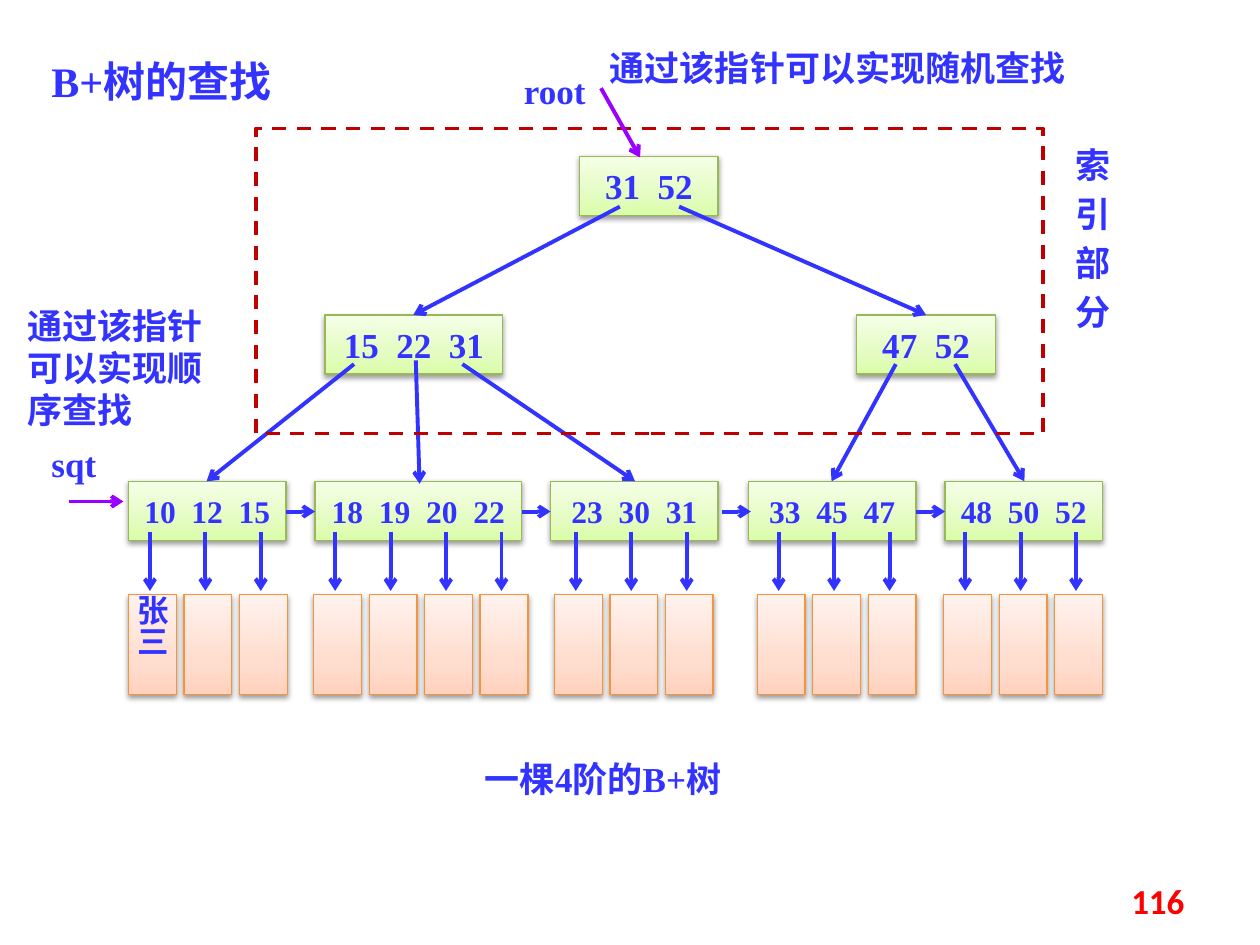
from collections import namedtuple
from copy import deepcopy

from lxml import etree
from pptx import Presentation
from pptx import util as u
from pptx.dml.color import RGBColor
from pptx.enum import dml, shapes, text
from pptx.oxml import ns

BLUE = RGBColor(0x33, 0x33, 0xFF)
PURPLE = RGBColor(0x99, 0x00, 0xFF)
RED = RGBColor(0xFF, 0x00, 0x00)
DARK_RED = RGBColor(0xC0, 0x00, 0x00)
GREEN_EDGE = RGBColor(0x98, 0xB9, 0x55)
ORANGE_EDGE = RGBColor(0xF6, 0x92, 0x40)
GREENS = RGBColor(0xDA, 0xFD, 0xA7), RGBColor(0xE4, 0xFC, 0xC2), RGBColor(0xF5, 0xFF, 0xE7)
ORANGES = RGBColor(0xFF, 0xD2, 0xBD), RGBColor(0xFF, 0xDE, 0xD0), RGBColor(0xFF, 0xF2, 0xED)

SERIF = "Times New Roman"
HAN = "Noto Sans CJK SC"
NODE_HEIGHT = 0.47
RECORD_STEP = 0.44

Box = namedtuple("Box", "left top width height")


def inside(box, left, top, width, height):
    return Box(box.left + left, box.top + top, width, height)


def lengths(box):
    return [u.Inches(value) for value in box]


def set_values(target, values):
    for name, value in values.items():
        setattr(target, name, value)


def add_child(parent, tag, **attributes):
    return etree.SubElement(parent, ns.qn(tag), attributes)


def add_span(para, words, size=20, name=SERIF, color=BLUE):
    span = para.add_run()
    span.text = words
    set_values(span.font, {"size": u.Pt(size), "name": name, "bold": True})
    span.font.color.rgb = color
    add_child(span.font._element, "a:ea", typeface=HAN)


def add_label(page, box, lines, inset=True, para_format=None, **font):
    frame = page.shapes.add_textbox(*lengths(box)).text_frame
    set_values(frame, {"word_wrap": True, "auto_size": text.MSO_AUTO_SIZE.SHAPE_TO_FIT_TEXT})
    if not inset:
        set_values(frame, dict.fromkeys(
            ("margin_left", "margin_top", "margin_right", "margin_bottom"), 0))
    for index, words in enumerate(lines):
        para = frame.add_paragraph() if index else frame.paragraphs[0]
        set_values(para, para_format or {})
        if index == 0:
            para.space_before = u.Pt(0)
        add_span(para, words, **font)
    return frame


def add_arrow(page, box, start, end, color=BLUE):
    ends = [u.Inches(box[axis] + point[axis]) for point in (start, end) for axis in (0, 1)]
    arrow = page.shapes.add_connector(shapes.MSO_CONNECTOR.STRAIGHT, *ends)
    arrow.line.width = u.Pt(2.25)
    arrow.line.color.rgb = color
    add_child(arrow.line._get_or_add_ln(), "a:tailEnd", type="arrow")
    add_child(arrow._element.spPr, "a:effectLst")


def add_block(page, box, colors, edge):
    block = page.shapes.add_shape(shapes.MSO_SHAPE.RECTANGLE, *lengths(box))
    block.fill.gradient()
    block.fill.gradient_angle = 90
    first = block.fill.gradient_stops[0]._gs
    first.addnext(deepcopy(first))
    for stop, position, color in zip(block.fill.gradient_stops, (0, 0.35, 1), colors):
        stop.position = position
        stop.color.rgb = color
    block.line.color.rgb = edge
    block.line.width = u.Pt(0.75)
    block.shadow.inherit = False
    effects = block._element.spPr.find(ns.qn("a:effectLst"))
    shadow = add_child(effects, "a:outerShdw", blurRad="40000", dist="20000",
                       dir="5400000", rotWithShape="0")
    add_child(add_child(shadow, "a:srgbClr", val="000000"), "a:alpha", val="38000")
    return block


def add_node(page, box, keys, size=20):
    node = add_block(page, box, GREENS, GREEN_EDGE)
    node.text_frame.vertical_anchor = text.MSO_ANCHOR.MIDDLE
    para = node.text_frame.paragraphs[0]
    para.alignment = text.PP_ALIGN.CENTER
    add_span(para, keys, size)


def draw_leaf(page, box, keys, first_record):
    add_node(page, box, keys, 18)
    records = []
    for index in range(len(keys.split())):
        left = first_record + index * RECORD_STEP
        add_arrow(page, box, (left + 0.17, 0.4), (left + 0.17, 0.87))
        record_box = inside(box, left, 0.9, 0.38, 0.79)
        records.append(add_block(page, record_box, ORANGES, ORANGE_EDGE))
    return records


def draw_leaves(page, box):
    leaves = [(0, 1.25, "10  12  15", 0), (1.48, 1.64, "18  19  20  22", -0.01),
              (3.35, 1.33, "23  30  31", 0.03), (4.92, 1.33, "33  45  47", 0.07),
              (6.48, 1.25, "48  50  52", -0.01)]
    records = []
    for left, width, keys, first_record in leaves:
        records += draw_leaf(page, inside(box, left, 0, width, NODE_HEIGHT), keys, first_record)
    for left in (1.25, 3.12, 4.71, 6.25):
        add_arrow(page, box, (left, 0.24), (left + 0.23, 0.24))

    frame = records[0].text_frame
    set_values(frame, {"margin_left": u.Inches(0.04), "margin_right": u.Inches(0.04),
                       "margin_top": 0, "margin_bottom": 0,
                       "vertical_anchor": text.MSO_ANCHOR.TOP})
    frame._txBody.bodyPr.set("vert", "eaVert")
    frame.paragraphs[0].alignment = text.PP_ALIGN.LEFT
    add_span(frame.paragraphs[0], "张三", 18, HAN)


def draw_index(page, box):
    for left, top, width, keys in [(2.57, 0.22, 1.1, "31  52"),
                                   (0.55, 1.48, 1.41, "15  22  31"),
                                   (4.77, 1.48, 1.1, "47  52")]:
        add_node(page, inside(box, left, top, width, NODE_HEIGHT), keys)
    for start, end in [((2.89, 0.62), (1.25, 1.48)), ((3.36, 0.62), (5.32, 1.48)),
                       ((0.78, 1.87), (-0.39, 2.8)), ((1.27, 1.84), (1.3, 2.82)),
                       ((1.64, 1.87), (3.01, 2.8)), ((5.08, 1.87), (4.57, 2.8)),
                       ((5.55, 1.87), (6.1, 2.8))]:
        add_arrow(page, box, start, end)

    border = page.shapes.add_shape(shapes.MSO_SHAPE.RECTANGLE, *lengths(box))
    border.shadow.inherit = False
    border.fill.background()
    border.line.color.rgb = DARK_RED
    set_values(border.line, {"width": u.Pt(2), "dash_style": dml.MSO_LINE.DASH})
    add_label(page, inside(box, 6.41, 0.15, 0.4, 1.62), "索引部分", name=HAN,
              para_format={"line_spacing": u.Pt(18), "space_before": u.Pt(10)})


def draw_random_search(page, box):
    add_arrow(page, box, (0.71, 0.33), (1.02, 0.88), PURPLE)
    add_label(page, inside(box, 0, 0.13, 0.86, 0.44), ["root"])
    add_label(page, inside(box, 0.78, 0, 3.91, 0.34), ["通过该指针可以实现随机查找"],
              inset=False, name=HAN)


def draw_sequential_search(page, box):
    add_arrow(page, box, (0.33, 1.56), (0.76, 1.56), PURPLE)
    add_label(page, inside(box, 0.09, 1.04, 0.78, 0.44), ["sqt"])
    add_label(page, inside(box, 0, 0, 1.66, 1.01), ["通过该指针可以实现顺序查找"],
              inset=False, name=HAN)


def draw_captions(page, box):
    add_label(page, inside(box, 0.31, 0.39, 1.97, 0.5), ["B+树的查找"], size=24)
    add_label(page, inside(box, 3.75, 5.86, 2.42, 0.54), ["一棵4阶的B+树"],
              para_format={"line_spacing": 1.3, "alignment": text.PP_ALIGN.JUSTIFY})
    number = add_label(page, inside(box, 7.17, 6.95, 2.33, 0.4), ["116"], name="Calibri",
                       color=RED, para_format={"alignment": text.PP_ALIGN.RIGHT})
    number.vertical_anchor = text.MSO_ANCHOR.MIDDLE


def main():
    deck = Presentation()
    set_values(deck, {"slide_width": u.Inches(10), "slide_height": u.Inches(7.5)})
    page = deck.slides.add_slide(deck.slide_layouts[6])
    draw_leaves(page, Box(1.02, 3.82, 7.73, 1.69))
    draw_index(page, Box(2.03, 1.02, 6.25, 2.42))
    draw_random_search(page, Box(4.06, 0.37, 4.69, 0.88))
    draw_sequential_search(page, Box(0.22, 2.42, 1.66, 1.56))
    draw_captions(page, Box(0, 0, 10, 7.5))
    deck.save("out.pptx")


if __name__ == "__main__":
    main()
